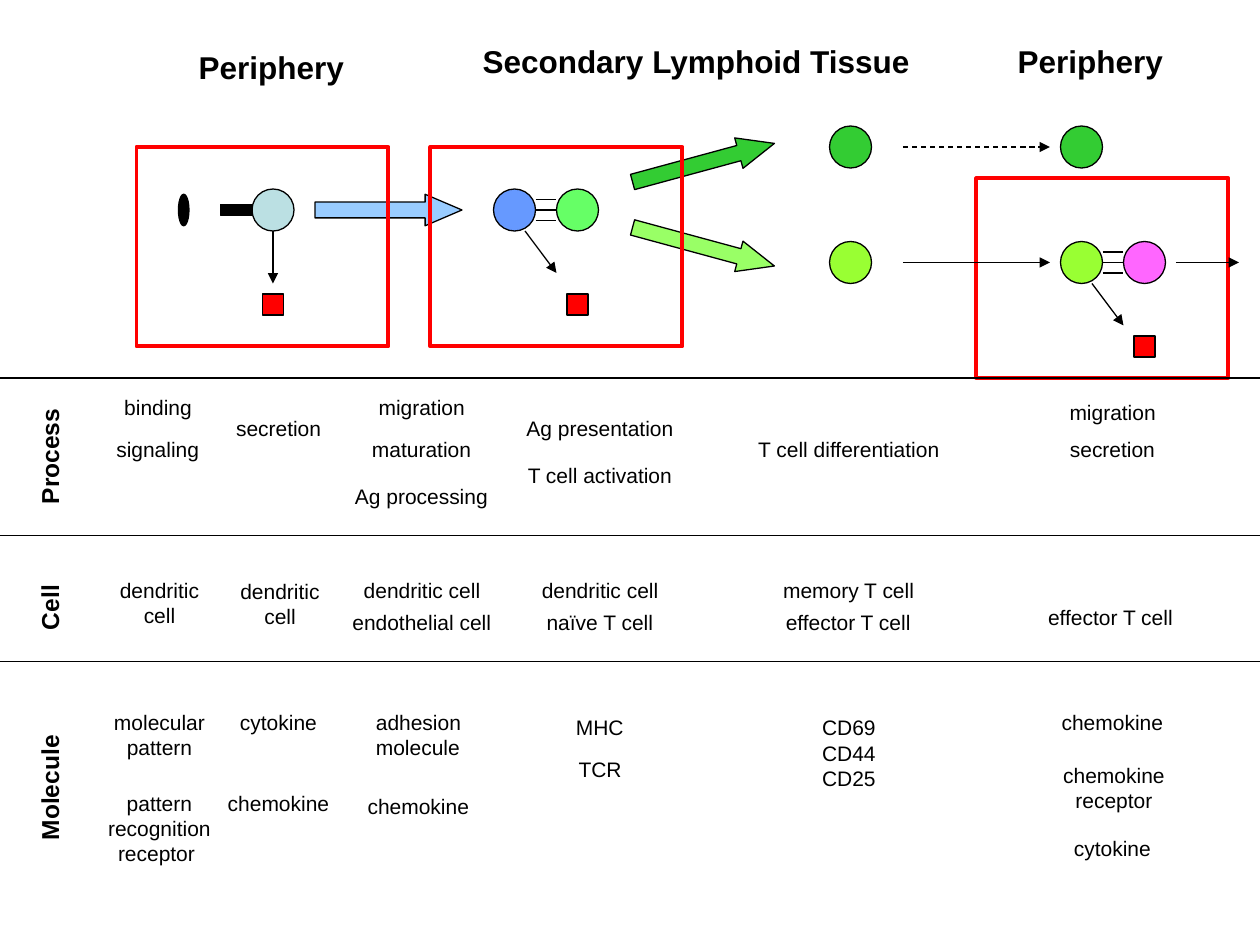
from lxml import etree
from pptx import Presentation
from pptx.dml.color import RGBColor
from pptx.enum import dml, shapes, text
from pptx.oxml import ns
from pptx.util import Pt

deck = Presentation()
deck.slide_width, deck.slide_height = Pt(720), Pt(540)
slide = deck.slides.add_slide(deck.slide_layouts[6])
items = slide.shapes


def hue(code):
    return RGBColor.from_string(code)


def write(words, mid, top, width, size=12, bold=False, turn=0, align=text.PP_ALIGN.LEFT):
    lines = words.split("\n")
    high = len(lines) * size * 1.2 + 7.2
    box = items.add_textbox(Pt(mid - width / 2), Pt(top), Pt(width + 1.5), Pt(high))
    box.rotation = turn
    frame = box.text_frame
    frame.word_wrap = False
    frame.auto_size = text.MSO_AUTO_SIZE.SHAPE_TO_FIT_TEXT
    frame.text = words
    for para in frame.paragraphs:
        para.alignment = align
        for run in para.runs:
            run.font.name = "Arial"
            run.font.size = Pt(size)
            run.font.bold = bold
            run.font.color.rgb = hue("000000")


kind = shapes.MSO_SHAPE
cells = [
    (144, 108, "BBE0E3"),
    (282, 108, "6699FF"),
    (318, 108, "66FF66"),
    (474, 72, "33CC33"),
    (474, 138, "99FF33"),
    (606, 138, "99FF33"),
    (642, 138, "FF66FF"),
    (606, 72, "33CC33"),
]
parts = [(kind.OVAL, x, y, 24, 24, 0, fill) for x, y, fill in cells]
parts += [
    (kind.OVAL, 102, 111, 6, 18, 0, "000000"),
    (kind.RECTANGLE, 126, 117, 18, 6, 0, "000000"),
    (kind.RIGHT_ARROW, 180, 111, 84, 18, 0, "99CCFF"),
    (kind.RIGHT_ARROW, 360, 132, 84, 18, 15.2, "99FF66"),
    (kind.RIGHT_ARROW, 360, 84, 84, 18, 344.8, "33CC33"),
]
parts += [(kind.RECTANGLE, x, y, 12, 12, 0, "FF0000")
          for x, y in [(150, 168), (324, 168), (648, 192)]]
parts += [(kind.RECTANGLE, x, y, 144, 114, 0, None)
          for x, y in [(78, 84), (246, 84), (558, 102)]]

for form, x, y, wide, high, turn, fill in parts:
    shape = items.add_shape(form, Pt(x), Pt(y), Pt(wide), Pt(high))
    shape.shadow.inherit = False
    shape.rotation = turn
    if form == kind.RIGHT_ARROW:
        shape.adjustments[0] = 0.5
        shape.adjustments[1] = 1.17
    if fill:
        shape.fill.solid()
        shape.fill.fore_color.rgb = hue(fill)
    else:
        shape.fill.background()
    shape.line.color.rgb = hue("000000" if fill else "FF0000")
    shape.line.width = Pt(0.75 if fill else 2.25)

links = [(0, y, 720, y, "") for y in (216, 306, 378)]
for left, mid in [(306, 120), (630, 150)]:
    links += [(left, mid + gap, left + 12, mid + gap, "") for gap in (-6, 0, 6)]
links += [
    (156, 132, 156, 162, "head"),
    (300, 132, 318, 156, "head"),
    (624, 162, 642, 186, "head"),
    (516, 84, 600, 84, "head dash"),
    (516, 150, 600, 150, "head"),
    (672, 150, 708, 150, "head"),
]
for x, y, endx, endy, style in links:
    link = items.add_connector(shapes.MSO_CONNECTOR.STRAIGHT, Pt(x), Pt(y), Pt(endx), Pt(endy))
    link.line.color.rgb = hue("000000")
    link.line.width = Pt(0.75)
    if "dash" in style:
        link.line.dash_style = dml.MSO_LINE.DASH
    if "head" in style:
        etree.SubElement(link.line._get_or_add_ln(), ns.qn("a:tailEnd"), type="triangle")
    etree.SubElement(link._element.spPr, ns.qn("a:effectLst"))

for words, mid, top, width in [
    ("Periphery", 155.2, 24, 97.5),
    ("Secondary Lymphoid Tissue", 398.2, 20.4, 259),
    ("Periphery", 623.2, 20.4, 97.5),
]:
    write(words, mid, top, width, size=18, bold=True)

for words, mid, width in [("Process", 260, 69), ("Cell", 346.3, 40), ("Molecule", 449.3, 74.5)]:
    write(words, 27.5, mid - 12, width, size=14, bold=True, turn=270)

table = {
    90.4: [
        ("binding", 222, 53), ("signaling", 246, 62),
        ("dendritic\ncell", 326.4, 60),
        ("molecular\npattern", 402, 66.5),
        ("pattern\nrecognition\nreceptor ", 448, 73),
    ],
    159.3: [
        ("secretion", 234, 63),
        ("dendritic\ncell", 326.8, 60),
        ("cytokine", 402, 58.5), ("chemokine", 448, 72.5),
    ],
    241: [
        ("migration", 222, 63.5), ("maturation", 246, 71), ("Ag processing", 272.5, 90.5),
        ("dendritic cell", 326.4, 80.5), ("endothelial cell", 344.5, 93.5),
    ],
    239.2: [("adhesion\nmolecule", 402, 63), ("chemokine", 450, 72.5)],
    343: [
        ("Ag presentation", 234, 98.5), ("T cell activation", 261, 97),
        ("dendritic cell", 326.4, 81), ("naïve T cell", 344.5, 75.5),
        ("MHC", 405, 42), ("TCR", 429, 39),
    ],
    485.2: [
        ("T cell differentiation", 246, 118),
        ("memory T cell", 326.4, 89.5), ("effector T cell", 344.5, 86.5),
        ("CD69\nCD44\nCD25", 405, 45),
    ],
    635.8: [
        ("migration", 225, 63.5), ("secretion", 246, 63),
        ("effector T cell", 342, 88),
        ("chemokine", 402, 72.5), ("chemokine\nreceptor", 432, 72.5), ("cytokine", 474, 58.5),
    ],
}
flush = ("adhesion\nmolecule", "CD69\nCD44\nCD25")
for mid, column in table.items():
    for words, top, width in column:
        block = "\n" in words and words not in flush
        write(words, mid, top, width,
              align=text.PP_ALIGN.CENTER if block else text.PP_ALIGN.LEFT)

deck.save("out.pptx")
